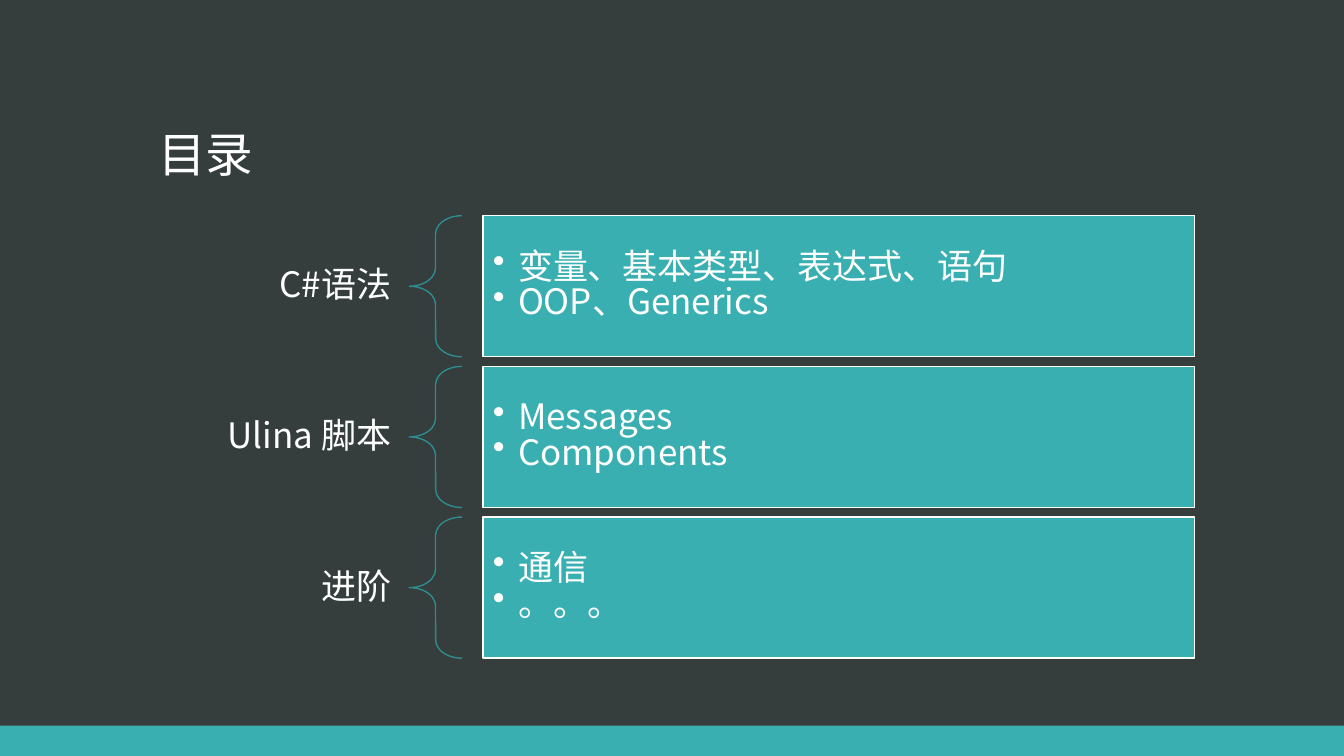
from lxml.etree import SubElement
from pptx import Presentation
from pptx.dml.color import RGBColor
from pptx.enum.shapes import MSO_SHAPE as Shape
from pptx.enum.text import MSO_ANCHOR as Anchor, PP_ALIGN as Align
from pptx.oxml.ns import qn
from pptx.util import Inches, Pt

SECTIONS = [
    ("C#语法", ["变量、基本类型、表达式、语句", "OOP、Generics"]),
    ("Ulina 脚本", ["Messages", "Components"]),
    ("进阶", ["通信", "。。。"]),
]


def color(code):
    return RGBColor.from_string(code)


def write(box, lines, size=25, align=Align.LEFT, anchor=Anchor.MIDDLE,
          margins=(0.1, 0.1), spacing=0.9, bullets=False, font="Noto Sans CJK SC"):
    frame = box.text_frame
    frame.word_wrap = True
    frame.vertical_anchor = anchor
    frame.margin_left = frame.margin_right = Inches(margins[0])
    frame.margin_top = frame.margin_bottom = Inches(margins[1])
    for index, line in enumerate(lines):
        para = frame.paragraphs[0] if index == 0 else frame.add_paragraph()
        para.alignment = align
        para.line_spacing = spacing
        span = para.add_run()
        span.text = line
        span.font.size = Pt(size)
        span.font.name = font
        span.font.color.rgb = color("FFFFFF")
        SubElement(span.font._element, qn("a:ea"), typeface=font)
        if bullets:
            props = para._p.get_or_add_pPr()
            props.set("marL", str(Inches(0.25)))
            props.set("indent", str(-Inches(0.25)))
            SubElement(props, qn("a:buChar"), char="•")


class Agenda:
    """Draws the agenda slide in one shared style."""

    teal, dark_teal, white, slate = "3AAFB2", "2E8C8F", "FFFFFF", "363D3D"

    def __init__(self, deck):
        self.page = deck.slides.add_slide(deck.slide_layouts[6])
        background = self.page.background.fill
        background.solid()
        background.fore_color.rgb = color(self.slate)

    def shape(self, kind, left, top, width, height, fill=None, line=None):
        box = self.page.shapes.add_shape(
            kind, Inches(left), Inches(top), Inches(width), Inches(height))
        box.shadow.inherit = False
        if fill:
            box.fill.solid()
            box.fill.fore_color.rgb = color(fill)
        else:
            box.fill.background()
        if line:
            box.line.color.rgb = color(line)
            box.line.width = Pt(1)
        else:
            box.line.fill.background()
        return box

    def text(self, left, top, width, height, words, **style):
        box = self.page.shapes.add_textbox(
            Inches(left), Inches(top), Inches(width), Inches(height))
        write(box, [words], **style)

    def section(self, top, label, topics):
        height = 1.4
        self.text(1.47, top + (height - 0.68) / 2, 2.6, 0.68, label,
                  align=Align.RIGHT, margins=(0.19, 0.07))
        brace = self.shape(Shape.LEFT_BRACE, 4.06, top, 0.52, height, line=self.dark_teal)
        brace.adjustments[0] = 0.35
        brace.adjustments[1] = 0.5
        panel = self.shape(Shape.RECTANGLE, 4.79, top, 7.06, height,
                           fill=self.teal, line=self.white)
        write(panel, topics, spacing=0.85, bullets=True)


def main():
    deck = Presentation()
    deck.slide_width, deck.slide_height = Inches(13.33), Inches(7.5)
    agenda = Agenda(deck)
    agenda.shape(Shape.RECTANGLE, 0, 7.2, 13.33, 0.3, fill=agenda.teal)
    agenda.text(1.47, 0.51, 10.4, 1.35, "目录", size=34,
                anchor=Anchor.BOTTOM, margins=(0.1, 0.05))
    for row, (label, topics) in enumerate(SECTIONS):
        agenda.section(2.14 + row * 1.495, label, topics)
    deck.save("out.pptx")


if __name__ == "__main__":
    main()
